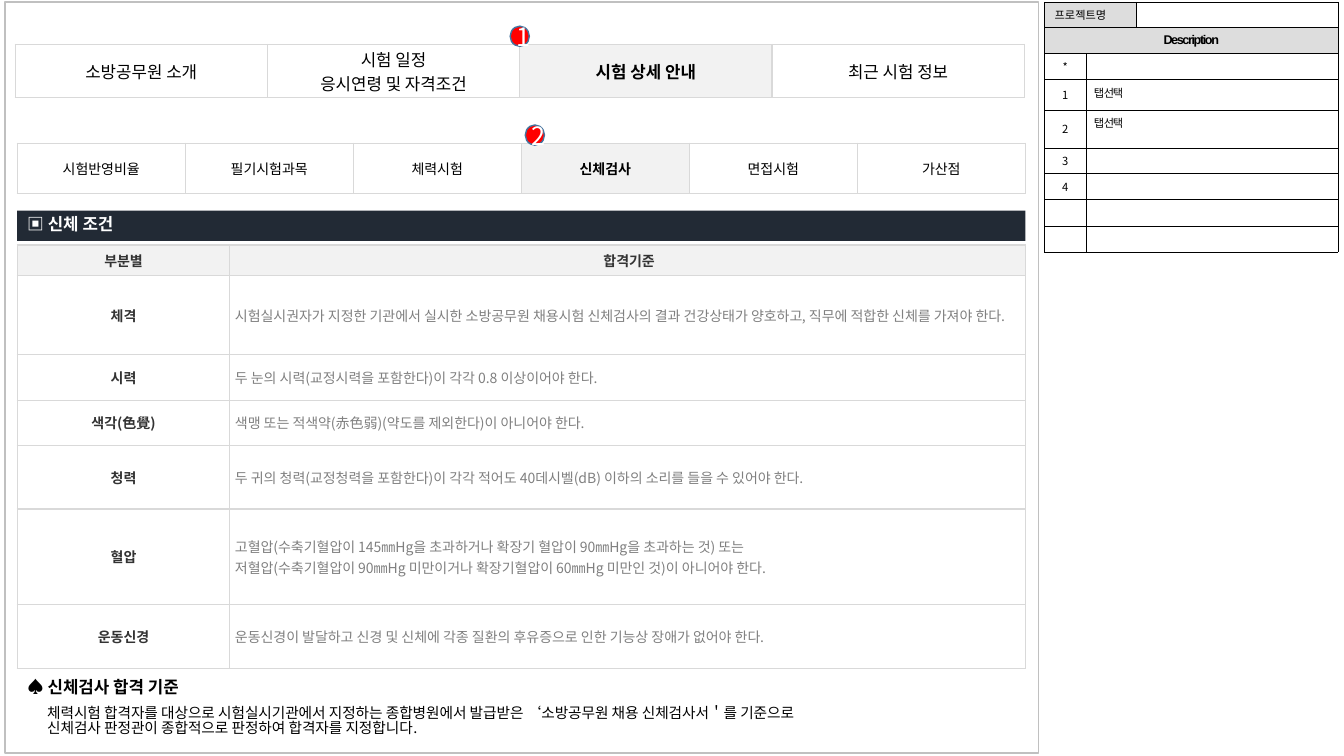
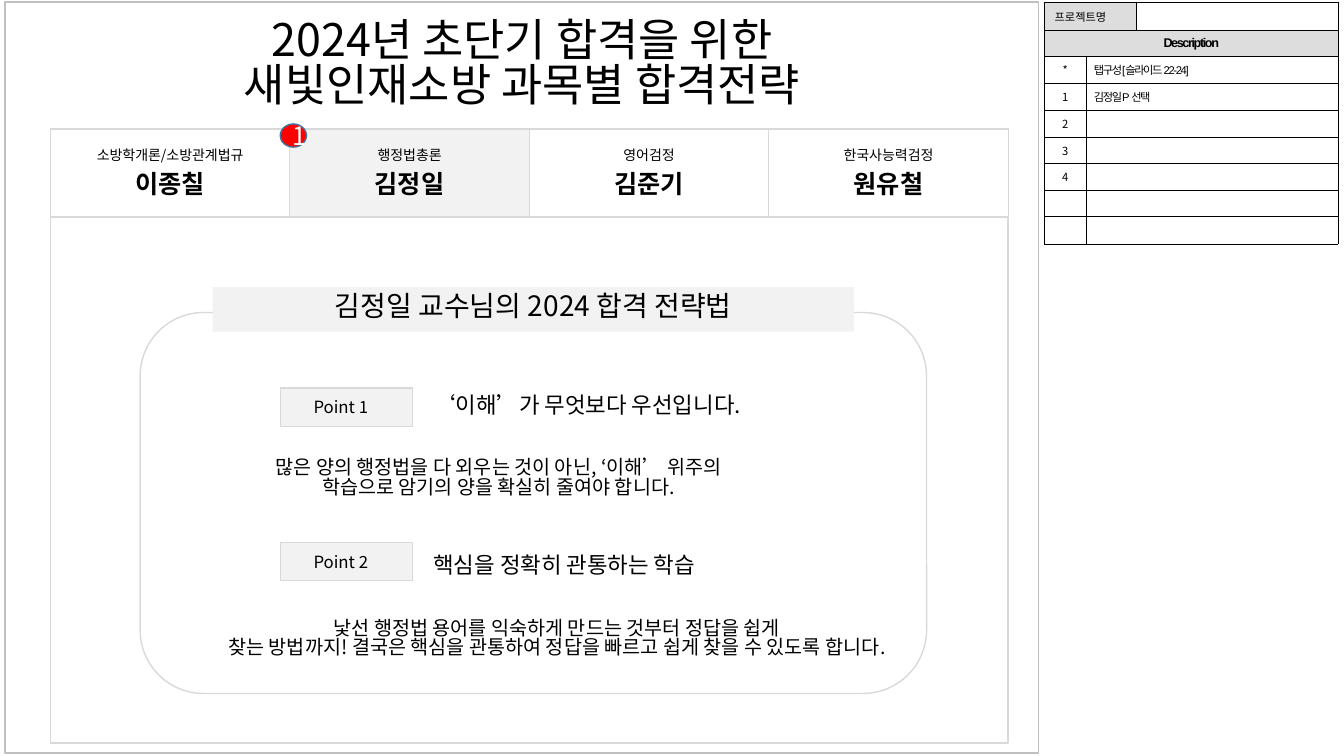
"""Build two storyboard slides for a firefighter exam guide."""
import lxml.etree
import pptx
import pptx.dml.color
import pptx.enum.shapes
import pptx.enum.text
import pptx.oxml.ns
import pptx.util

Inches = pptx.util.Inches
Pt = pptx.util.Pt
RGBColor = pptx.dml.color.RGBColor
SHAPE = pptx.enum.shapes.MSO_SHAPE
ANCHOR = pptx.enum.text.MSO_ANCHOR
LEFT = pptx.enum.text.PP_ALIGN.LEFT
CENTER = pptx.enum.text.PP_ALIGN.CENTER
qn = pptx.oxml.ns.qn

BLACK = RGBColor(0x00, 0x00, 0x00)
WHITE = RGBColor(0xFF, 0xFF, 0xFF)
DARK = RGBColor(0x33, 0x33, 0x33)
GRAY = RGBColor(0x80, 0x80, 0x80)
FRAME = RGBColor(0xC0, 0xC0, 0xC0)
BORDER = RGBColor(0xD9, 0xD9, 0xD9)
HEADER = RGBColor(0xDD, 0xDD, 0xDD)
PALE = RGBColor(0xF2, 0xF2, 0xF2)
NAVY = RGBColor(0x22, 0x2A, 0x35)
RED = RGBColor(0xFF, 0x00, 0x00)
BLUE = RGBColor(0x43, 0x73, 0x9E)
KOREAN = "Noto Sans CJK KR"
ARIAL = "Arial"


def write(text_frame, lines, size, color=BLACK, align=LEFT, latin=KOREAN, bold=False, spacing=0, tight=False):
    """Fill a text frame with one paragraph per line."""
    text_frame.text = "\n".join(lines)
    values = {"size": Pt(size), "bold": bold, "name": latin}
    if tight:
        text_frame.margin_top = Inches(0.05) + Pt(size * 0.08)
        text_frame.margin_bottom = 0
    for paragraph in text_frame.paragraphs:
        paragraph.alignment = align
        if tight:
            paragraph.line_spacing = 0.83
        for run in paragraph.runs:
            run.font.color.rgb = color
            for name, value in values.items():
                setattr(run.font, name, value)
            properties = run.font._element
            lxml.etree.SubElement(properties, qn("a:ea"), typeface=KOREAN)
            if spacing:
                properties.set("spc", str(spacing * 100))
        if not paragraph.runs:
            lxml.etree.SubElement(paragraph._p, qn("a:endParaRPr"), sz=str(size * 100))


def add_table(slide, left, top, widths, heights, border, border_width):
    """Add an unfilled table with even borders."""
    table = slide.shapes.add_table(
        len(heights), len(widths), Inches(left), Inches(top), Inches(sum(widths)), Inches(sum(heights))
    ).table
    table.first_row = table.horz_banding = False
    for column, width in zip(table.columns, widths):
        column.width = Inches(width)
    for row, height in zip(table.rows, heights):
        row.height = Inches(height)
    for cell in table.iter_cells():
        properties = cell._tc.get_or_add_tcPr()
        for side in ("a:lnL", "a:lnR", "a:lnT", "a:lnB"):
            line = lxml.etree.SubElement(properties, qn(side), w=str(Pt(border_width)))
            fill = lxml.etree.SubElement(line, qn("a:solidFill"))
            lxml.etree.SubElement(fill, qn("a:srgbClr"), val=str(border))
        cell.fill.background()
        cell.vertical_anchor = ANCHOR.MIDDLE
        cell.margin_top = cell.margin_bottom = Inches(0.03)
    return table


presentation = pptx.Presentation()
presentation.slide_width = Inches(13.33)
presentation.slide_height = Inches(7.5)
layout = presentation.slide_layouts[5]
exam_slide = presentation.slides.add_slide(layout)
strategy_slide = presentation.slides.add_slide(layout)

frame = exam_slide.shapes.add_shape(SHAPE.RECTANGLE, Inches(0.05), Inches(0.02), Inches(10.25), Inches(7.45))
frame.shadow.inherit = False
frame.fill.background()
frame.line.color.rgb = FRAME
frame.line.width = Pt(1)
layout.shapes.element.append(frame.element)

titles = [
    (exam_slide, (0.17, 2.09, 10, 0.3), ["▣ 신체 조건"],
     {"size": 12, "color": WHITE, "bold": True}),
    (strategy_slide, (1.39, 0.12, 7.58, 1.18), ["2024년 초단기 합격을 위한", "새빛인재소방 과목별 합격전략"],
     {"size": 32, "align": CENTER}),
]
for slide, box, lines, style in titles:
    title = slide.shapes.title
    for name, value in zip(("left", "top", "width", "height"), box):
        setattr(title, name, Inches(value))
    title.text_frame.auto_size = pptx.enum.text.MSO_AUTO_SIZE.NONE
    title.text_frame.vertical_anchor = ANCHOR.TOP
    write(title.text_frame, lines, tight=True, **style)
exam_slide.shapes.title.fill.solid()
exam_slide.shapes.title.fill.fore_color.rgb = NAVY

descriptions = [
    (exam_slide, [0.25, 0.26, 0.26, 0.3, 0.38, 0.25, 0.26, 0.26, 0.26], ["", "탭 선택", "탭 선택"]),
    (strategy_slide, [0.28] + [0.26, 0.27] * 4, ["탭구성[슬라이드 22-24]", "김정일P 선택"]),
]
marks = ["*", "1", "2", "3", "4", "", ""]
for slide, heights, notes in descriptions:
    table = add_table(slide, 10.36, 0.02, [0.41, 0.5, 2], heights, BLACK, 0.25)
    for cell in table.iter_cells():
        cell.fill.solid()
        cell.fill.fore_color.rgb = WHITE
        write(cell.text_frame, [""], 8)
    table.cell(0, 0).merge(table.cell(0, 1))
    table.cell(1, 0).merge(table.cell(1, 2))
    for row in (0, 1):
        table.cell(row, 0).fill.fore_color.rgb = HEADER
    write(table.cell(0, 0).text_frame, ["프로젝트명"], 8)
    write(table.cell(1, 0).text_frame, ["Description"], 9, align=CENTER, latin=ARIAL, bold=True, spacing=-1)
    for row, mark in enumerate(marks, 2):
        table.cell(row, 1).merge(table.cell(row, 2))
        if mark:
            write(table.cell(row, 0).text_frame, [mark], 8, align=CENTER)
    for row, note in enumerate(notes, 2):
        if note:
            cell = table.cell(row, 1)
            cell.vertical_anchor = ANCHOR.TOP
            cell.margin_top = Inches(0.05)
            cell.margin_left = Inches(0.08)
            write(cell.text_frame, [note], 8, latin=ARIAL, spacing=-1)

main_tabs = [["소방공무원 소개"], ["시험 일정", "응시연령 및 자격조건"], ["시험 상세 안내"], ["최근 시험 정보"]]
sub_tabs = [["시험반영비율"], ["필기시험과목"], ["체력시험"], ["신체검사"], ["면접시험"], ["가산점"]]
professors = [
    ["소방학개론/소방관계법규", "이종칠"], ["행정법총론", "김정일"],
    ["영어검정", "김준기"], ["한국사능력검정", "원유철"],
]
tab_bars = [
    (exam_slide, (0.15, 0.44), 10.01, 0.53, main_tabs, 2, {"size": 12, "latin": ARIAL}),
    (exam_slide, (0.17, 1.42), 10, 0.5, sub_tabs, 3, {"size": 10, "latin": ARIAL}),
    (strategy_slide, (0.5, 1.28), 9.5, 0.87, professors, 1, {"size": 10}),
]
for slide, (left, top), width, height, tabs, selected, style in tab_bars:
    table = add_table(slide, left, top, [width / len(tabs)] * len(tabs), [height], BORDER, 1)
    for index, lines in enumerate(tabs):
        cell = table.cell(0, index)
        cell.margin_top = cell.margin_bottom = 0
        is_selected = index == selected
        write(cell.text_frame, lines, align=CENTER, bold=is_selected and tabs is not professors, **style)
        if is_selected:
            cell.fill.solid()
            cell.fill.fore_color.rgb = PALE
        if tabs is professors:
            name_font = cell.text_frame.paragraphs[1].runs[0].font
            name_font.size = Pt(18)
            name_font.bold = True

criteria = [
    ("부분별", ["합격기준"]),
    ("체격", ["시험실시권자가 지정한 기관에서 실시한 소방공무원 채용시험 신체검사의 결과 건강상태가 양호하고, "
            "직무에 적합한 신체를 가져야 한다."]),
    ("시력", ["두 눈의 시력(교정시력을 포함한다)이 각각 0.8 이상이어야 한다."]),
    ("색각(色覺)", ["색맹 또는 적색약(赤色弱)(약도를 제외한다)이 아니어야 한다."]),
    ("청력", ["두 귀의 청력(교정청력을 포함한다)이 각각 적어도 40데시벨(dB) 이하의 소리를 들을 수 있어야 한다."]),
    ("혈압", ["고혈압(수축기혈압이 145㎜Hg을 초과하거나 확장기 혈압이 90㎜Hg을 초과하는 것) 또는",
            "저혈압(수축기혈압이 90㎜Hg 미만이거나 확장기혈압이 60㎜Hg 미만인 것)이 아니어야 한다."]),
    ("운동신경", ["운동신경이 발달하고 신경 및 신체에 각종 질환의 후유증으로 인한 기능상 장애가 없어야 한다."]),
]
table = add_table(exam_slide, 0.17, 2.43, [2.11, 7.89], [0.3, 0.79, 0.45, 0.45, 0.63, 0.95, 0.63], BORDER, 1)
for row, (part, standard) in enumerate(criteria):
    part_cell, standard_cell = table.cell(row, 0), table.cell(row, 1)
    standard_cell.margin_left = Inches(0.05)
    standard_cell.margin_right = Inches(0.02)
    write(part_cell.text_frame, [part], 10, DARK, CENTER, bold=True)
    if row:
        write(standard_cell.text_frame, standard, 10, GRAY)
    else:
        write(standard_cell.text_frame, standard, 10, DARK, CENTER, bold=True)
        for cell in (part_cell, standard_cell):
            cell.fill.solid()
            cell.fill.fore_color.rgb = PALE

badge = {"size": 18, "color": WHITE, "align": CENTER}
point = {"size": 12}
headline = {"size": 16, "tight": True}
body = {"size": 14, "align": CENTER, "tight": True}
boxes = [
    (exam_slide, None, (0.17, 6.68, 9.57, 0.3), None, None, ["♠ 신체검사 합격 기준"],
     {"size": 12, "bold": True, "tight": True}),
    (exam_slide, None, (0.37, 6.95, 9.44, 0.45), None, None,
     ["체력시험 합격자를 대상으로 시험실시기관에서 지정하는 종합병원에서 발급받은 ‘소방공무원 채용 신체검사서＇를 기준으로",
      "신체검사 판정관이 종합적으로 판정하여 합격자를 지정합니다."], {"size": 10.5, "tight": True}),
    (exam_slide, SHAPE.OVAL, (5.21, 1.24, 0.19, 0.2), RED, BLUE, ["2"], badge),
    (exam_slide, SHAPE.OVAL, (5.06, 0.26, 0.19, 0.2), RED, BLUE, ["1"], badge),
    (strategy_slide, SHAPE.RECTANGLE, (0.5, 2.16, 9.5, 5.21), None, BORDER, [], None),
    (strategy_slide, SHAPE.OVAL, (2.78, 1.23, 0.26, 0.23), RED, BLUE, ["1"], badge),
    (strategy_slide, SHAPE.ROUNDED_RECTANGLE, (1.39, 3.1, 7.8, 3.78), None, BORDER, [], None),
    (strategy_slide, SHAPE.RECTANGLE, (2.11, 2.85, 6.36, 0.44), PALE, None, ["김정일 교수님의 2024 합격 전략법"],
     {"size": 20, "align": CENTER, "tight": True}),
    (strategy_slide, SHAPE.RECTANGLE, (2.78, 3.85, 1.31, 0.38), PALE, BORDER, ["Point 1"], point),
    (strategy_slide, None, (4.2, 3.86, 4.89, 0.37), None, None, ["‘이해’가 무엇보다 우선입니다."], headline),
    (strategy_slide, None, (1.68, 4.49, 6.53, 0.57), None, None,
     ["많은 양의 행정법을 다 외우는 것이 아닌, ‘이해’ 위주의", "학습으로 암기의 양을 확실히 줄여야 합니다."], body),
    (strategy_slide, SHAPE.RECTANGLE, (2.78, 5.38, 1.31, 0.38), PALE, BORDER, ["Point 2"], point),
    (strategy_slide, None, (4.2, 5.44, 4.89, 0.37), None, None, ["핵심을 정확히 관통하는 학습"], headline),
    (strategy_slide, None, (1.96, 6.08, 7.13, 0.57), None, None,
     ["낯선 행정법 용어를 익숙하게 만드는 것부터 정답을 쉽게",
      "찾는 방법까지! 결국은 핵심을 관통하여 정답을 빠르고 쉽게 찾을 수 있도록 합니다."], body),
]
for slide, kind, box, fill, line, lines, style in boxes:
    place = [Inches(value) for value in box]
    if kind is None:
        shape = slide.shapes.add_textbox(*place)
    else:
        shape = slide.shapes.add_shape(kind, *place)
        shape.shadow.inherit = False
        if fill is None:
            shape.fill.background()
        else:
            shape.fill.solid()
            shape.fill.fore_color.rgb = fill
        if line is None:
            shape.line.fill.background()
        else:
            shape.line.color.rgb = line
            shape.line.width = Pt(1)
    if lines:
        shape.text_frame.word_wrap = True
        shape.text_frame.vertical_anchor = ANCHOR.TOP if "tight" in style else ANCHOR.MIDDLE
        write(shape.text_frame, lines, **style)
    if style is point:
        shape.text_frame.margin_left = Inches(0.33)

presentation.save("out.pptx")
